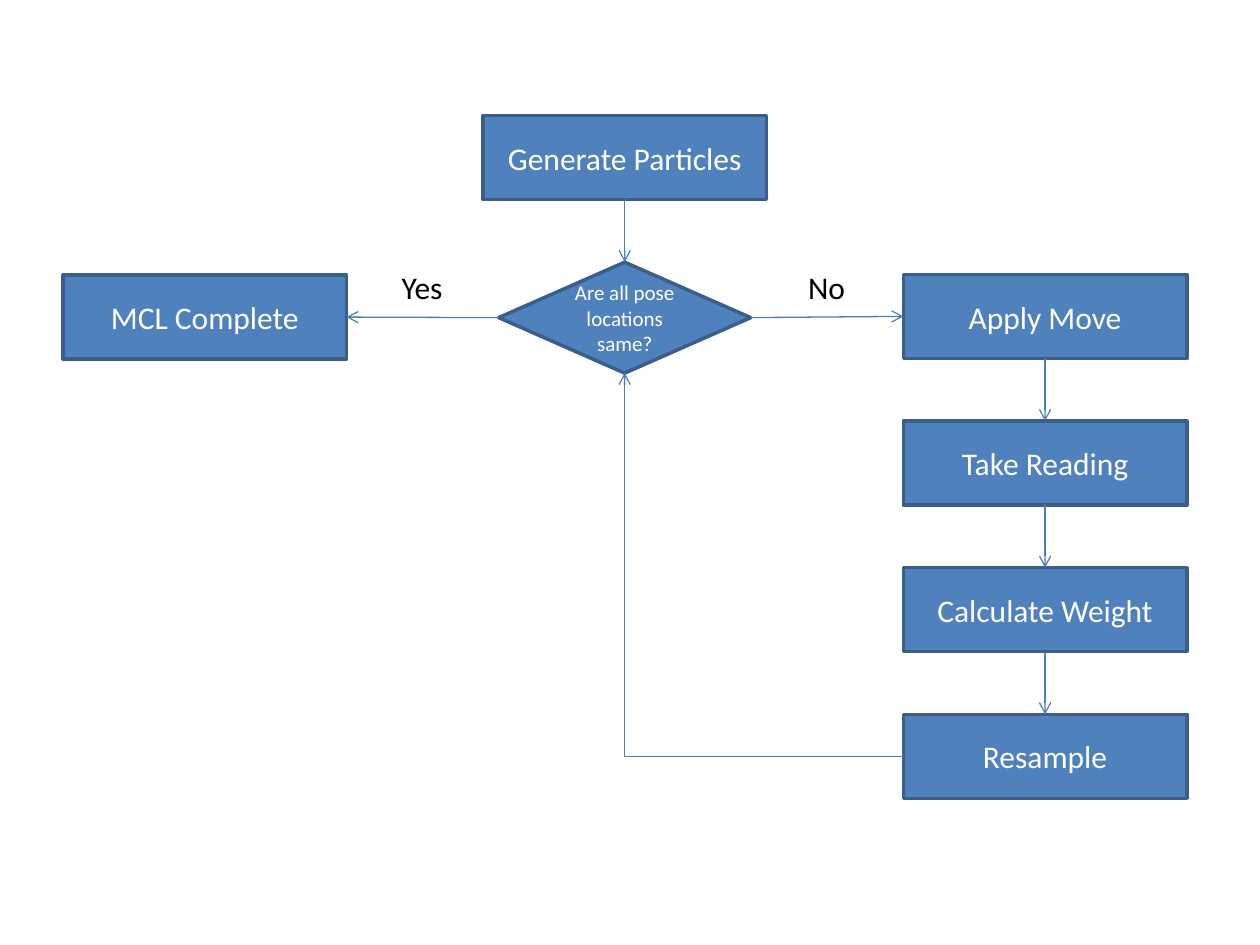
from pptx import Presentation
from pptx.dml.color import RGBColor
from pptx.enum.shapes import MSO_CONNECTOR, MSO_SHAPE
from pptx.enum.text import MSO_ANCHOR, PP_ALIGN
from pptx.oxml.ns import qn
from pptx.util import Pt
from lxml import etree


def color(value):
    return RGBColor.from_string(value)


def write(target, wording, size, ink):
    frame = target.text_frame
    frame.word_wrap = True
    frame.text = wording
    paragraph = frame.paragraphs[0]
    paragraph.alignment = PP_ALIGN.CENTER
    for name, value in {"size": Pt(size), "name": "Calibri"}.items():
        setattr(paragraph.font, name, value)
    paragraph.font.color.rgb = color(ink)


deck = Presentation()
deck.slide_width, deck.slide_height = Pt(720), Pt(540)
slide = deck.slides.add_slide(deck.slide_layouts[6])

step_left, step_top, step_gap = 516.2, 156.8, 83.8
steps = ["Apply Move", "Take Reading", "Calculate Weight", "Resample"]
question = "Are all pose locations same?"
process, decision = MSO_SHAPE.FLOWCHART_PROCESS, MSO_SHAPE.FLOWCHART_DECISION

nodes = [
    ("Generate Particles", process, 276, 66, 162, 48, 18),
    (question, decision, 285, 149.8, 144, 63.4, 12),
    ("MCL Complete", process, 36, 157.2, 162, 48, 18),
]
for row, step in enumerate(steps):
    nodes.append((step, process, step_left, step_top + row * step_gap, 162, 48, 18))

flow = {}
for wording, outline, left, top, width, height, size in nodes:
    node = slide.shapes.add_shape(outline, Pt(left), Pt(top), Pt(width), Pt(height))
    node.shadow.inherit = False
    node.fill.solid()
    node.fill.fore_color.rgb = color("4F81BD")
    node.line.color.rgb = color("3A5F8C")
    node.line.width = Pt(2)
    node.text_frame.vertical_anchor = MSO_ANCHOR.MIDDLE
    write(node, wording, size, "FFFFFF")
    flow[wording] = node

for answer, left in [("Yes", 205.2), ("No", 436.3)]:
    label = slide.shapes.add_textbox(Pt(left), Pt(149.8), Pt(72), Pt(29))
    write(label, answer, 18, "000000")

TOP, LEFT, BOTTOM, RIGHT = range(4)
links = [
    ("Generate Particles", BOTTOM, question, TOP),
    (question, RIGHT, "Apply Move", LEFT),
    (question, LEFT, "MCL Complete", RIGHT),
    ("Resample", LEFT, question, BOTTOM),
]
links += [(above, BOTTOM, below, TOP) for above, below in zip(steps, steps[1:])]

for origin, exit_side, goal, entry_side in links:
    loops_back = origin == "Resample"
    route = MSO_CONNECTOR.ELBOW if loops_back else MSO_CONNECTOR.STRAIGHT
    arrow = slide.shapes.add_connector(route, 0, 0, 0, 0)
    arrow.begin_connect(flow[origin], exit_side)
    arrow.end_connect(flow[goal], entry_side)
    arrow.line.color.rgb = color("4B7EBC")
    arrow.line.width = Pt(0.75)
    properties = arrow._element.spPr
    etree.SubElement(properties.find(qn("a:ln")), qn("a:tailEnd"), type="arrow")
    etree.SubElement(properties, qn("a:effectLst"))
    if loops_back:
        properties.find(qn("a:prstGeom")).set("prst", "bentConnector2")

deck.save("out.pptx")
